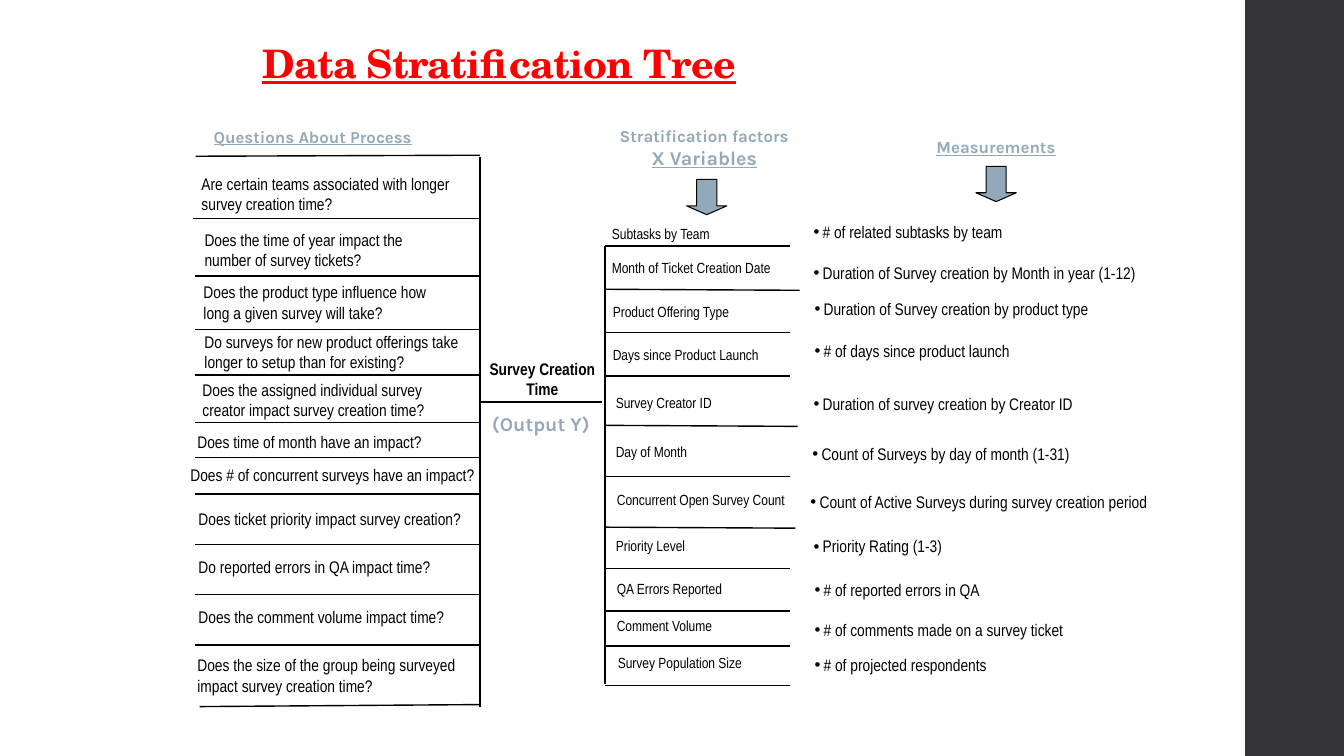
from lxml import etree
from pptx import Presentation
from pptx.dml.color import RGBColor
from pptx.enum.shapes import MSO_CONNECTOR, MSO_SHAPE
from pptx.enum.text import MSO_ANCHOR, MSO_AUTO_SIZE, PP_ALIGN
from pptx.oxml.ns import qn
from pptx.util import Pt

PX = 9144
STRAIGHT = MSO_CONNECTOR.STRAIGHT
RECTANGLE, DOWN_ARROW = MSO_SHAPE.RECTANGLE, MSO_SHAPE.DOWN_ARROW
LEFT, CENTER = PP_ALIGN.LEFT, PP_ALIGN.CENTER
BOTTOM = MSO_ANCHOR.BOTTOM
FIT_NONE, FIT_SHAPE = MSO_AUTO_SIZE.NONE, MSO_AUTO_SIZE.SHAPE_TO_FIT_TEXT
color = RGBColor.from_string
BLACK, STEEL, RED, CHARCOAL = "000000", "92A9B9", "FF0000", "353537"
BODY_FONT, HEADING_FONT, TITLE_FONT = "Arial Narrow", "Karla", "TeX Gyre Schola"

presentation = Presentation()
presentation.slide_width = 1333 * PX
presentation.slide_height = 750 * PX
slide = presentation.slides.add_slide(presentation.slide_layouts[5])


def add_run(paragraph, text, size, font, hex_color, bold=False, underline=False):
    run = paragraph.add_run()
    run.text = text
    run.font.size = Pt(size)
    run.font.name = font
    run.font.color.rgb = color(hex_color)
    run.font.bold = bold
    run.font.underline = underline
    return run


def add_text_box(left, top, width, height, wrap):
    box = slide.shapes.add_textbox(left * PX, top * PX, width * PX, height * PX)
    box.text_frame.word_wrap = wrap
    box.text_frame.auto_size = FIT_SHAPE
    return box.text_frame.paragraphs[0]


side_band = slide.shapes.add_shape(RECTANGLE, 1235 * PX, 0, 98 * PX, 750 * PX)
side_band.shadow.inherit = False
side_band.fill.solid()
side_band.fill.fore_color.rgb = color(CHARCOAL)
side_band.line.fill.background()

title = slide.shapes.title
title.left, title.top, title.width, title.height = 250 * PX, 8 * PX, 850 * PX, 83 * PX
title.text_frame.auto_size = FIT_NONE
title.text_frame.vertical_anchor = BOTTOM
title_paragraph = title.text_frame.paragraphs[0]
title_paragraph.alignment = LEFT
title_paragraph.line_spacing = 0.9
title_run = add_run(title_paragraph, "Data Stratification Tree", 28, TITLE_FONT, RED, True, True)
title_run.font._element.set("spc", "-50")

for left, top, width, text in [
    (202, 121, 227, "Questions About Process"),
    (919, 131, 143, "Measurements"),
]:
    paragraph = add_text_box(left, top, width, 30, False)
    add_run(paragraph, text, 12, HEADING_FONT, STEEL, True, True)

factors_heading = add_text_box(601, 120, 195, 54, False)
factors_heading.alignment = CENTER
add_run(factors_heading, "Stratification factors", 12, HEADING_FONT, STEEL, True)
variables_heading = slide.shapes[-1].text_frame.add_paragraph()
variables_heading.alignment = CENTER
add_run(variables_heading, "X Variables", 14, HEADING_FONT, STEEL, True, True)

output_name = add_text_box(455, 351, 166, 50, True)
output_name.alignment = CENTER
add_run(output_name, "Survey Creation", 12, BODY_FONT, BLACK, True)
output_name_end = slide.shapes[-1].text_frame.add_paragraph()
output_name_end.alignment = CENTER
add_run(output_name_end, "Time", 12, BODY_FONT, BLACK, True)

output_label = add_text_box(470, 399, 133, 35, True)
output_label.alignment = CENTER
output_label.line_spacing = 1.2
add_run(output_label, "(Output Y)", 14, HEADING_FONT, STEEL, True)

for left, top in [(681, 178), (968, 165)]:
    arrow = slide.shapes.add_shape(DOWN_ARROW, left * PX, top * PX, 40 * PX, 35 * PX)
    arrow.adjustments[0], arrow.adjustments[1] = 0.5, 0.25
    arrow.shadow.inherit = False
    arrow.fill.solid()
    arrow.fill.fore_color.rgb = color(STEEL)
    arrow.line.color.rgb = color(BLACK)
    arrow.line.width = Pt(0.75)

questions = [
    (190, 167, 305, 50, "Are certain teams associated with longer survey creation time?"),
    (193, 223, 262, 50, "Does the time of year impact the number of survey tickets?"),
    (192, 275, 260, 50, "Does the product type influence how long a given survey will take?"),
    (193, 324, 294, 50, "Do surveys for new product offerings take longer to setup than for existing?"),
    (191, 372, 250, 50, "Does the assigned individual survey creator impact survey creation time?"),
    (186, 423, 316, 30, "Does time of month have an impact?"),
    (179, 456, 330, 30, "Does # of concurrent surveys have an impact?"),
    (187, 500, 310, 30, "Does ticket priority impact survey creation?"),
    (187, 547, 300, 30, "Do reported errors in QA impact time?"),
    (187, 597, 321, 30, "Does the comment volume impact time?"),
    (186, 645, 280, 50, "Does the size of the group being surveyed impact survey creation time?"),
]
for left, top, width, height, text in questions:
    paragraph = add_text_box(left, top, width, height, True)
    add_run(paragraph, text, 12, BODY_FONT, BLACK)

factors = [
    (597, 218, 119, "Subtasks by Team"),
    (597, 252, 180, "Month of Ticket Creation Date"),
    (598, 295, 138, "Product Offering Type"),
    (598, 338, 166, "Days since Product Launch"),
    (601, 386, 116, "Survey Creator ID"),
    (601, 434, 95, "Day of Month"),
    (602, 482, 188, "Concurrent Open Survey Count"),
    (601, 528, 89, "Priority Level"),
    (602, 570, 127, "QA Errors Reported"),
    (602, 607, 116, "Comment Volume"),
    (603, 644, 144, "Survey Population Size"),
]
for left, top, width, text in factors:
    paragraph = add_text_box(left, top, width, 28, False)
    add_run(paragraph, text, 10.5, BODY_FONT, BLACK)

measurements = [
    (797, 215, "# of related subtasks by team"),
    (797, 256, "Duration of Survey creation by Month in year (1-12)"),
    (798, 291, "Duration of Survey creation by product type"),
    (798, 333, "# of days since product launch"),
    (797, 386, "Duration of survey creation by Creator ID"),
    (796, 435, "Count of Surveys by day of month (1-31)"),
    (794, 483, "Count of Active Surveys during survey creation period"),
    (797, 527, "Priority Rating (1-3)"),
    (798, 570, "# of reported errors in QA"),
    (798, 610, "# of comments made on a survey ticket"),
    (798, 645, "# of projected respondents"),
]
for left, top, text in measurements:
    paragraph = add_text_box(left, top, 371, 30, True)
    add_run(paragraph, text, 12, BODY_FONT, BLACK)
    properties = paragraph._p.get_or_add_pPr()
    properties.set("marL", str(9 * PX))
    properties.set("indent", str(-9 * PX))
    etree.SubElement(properties, qn("a:buFont")).set("typeface", "Arial")
    etree.SubElement(properties, qn("a:buChar")).set("char", "•")

branches = [
    (477, 399, 597, 399),
    (476, 156, 476, 701),
    (476, 154, 194, 155),
    (475, 217, 191, 217),
    (477, 274, 193, 274),
    (477, 699, 198, 701),
    (600, 244, 600, 679),
    (600, 287, 793, 288),
    (600, 422, 791, 423),
    (600, 523, 789, 524),
]
branches += [(476, y, 193, y) for y in (327, 372, 419, 454, 490, 540, 590, 640)]
branches += [(600, y, 784, y) for y in (244, 330, 373, 473, 564, 606, 641, 680)]
for branch in branches:
    connector = slide.shapes.add_connector(STRAIGHT, *[length * PX for length in branch])
    connector.line.color.rgb = color(BLACK)
    connector.line.width = Pt(1)
    etree.SubElement(connector._element.spPr, qn("a:effectLst"))

presentation.save("out.pptx")
